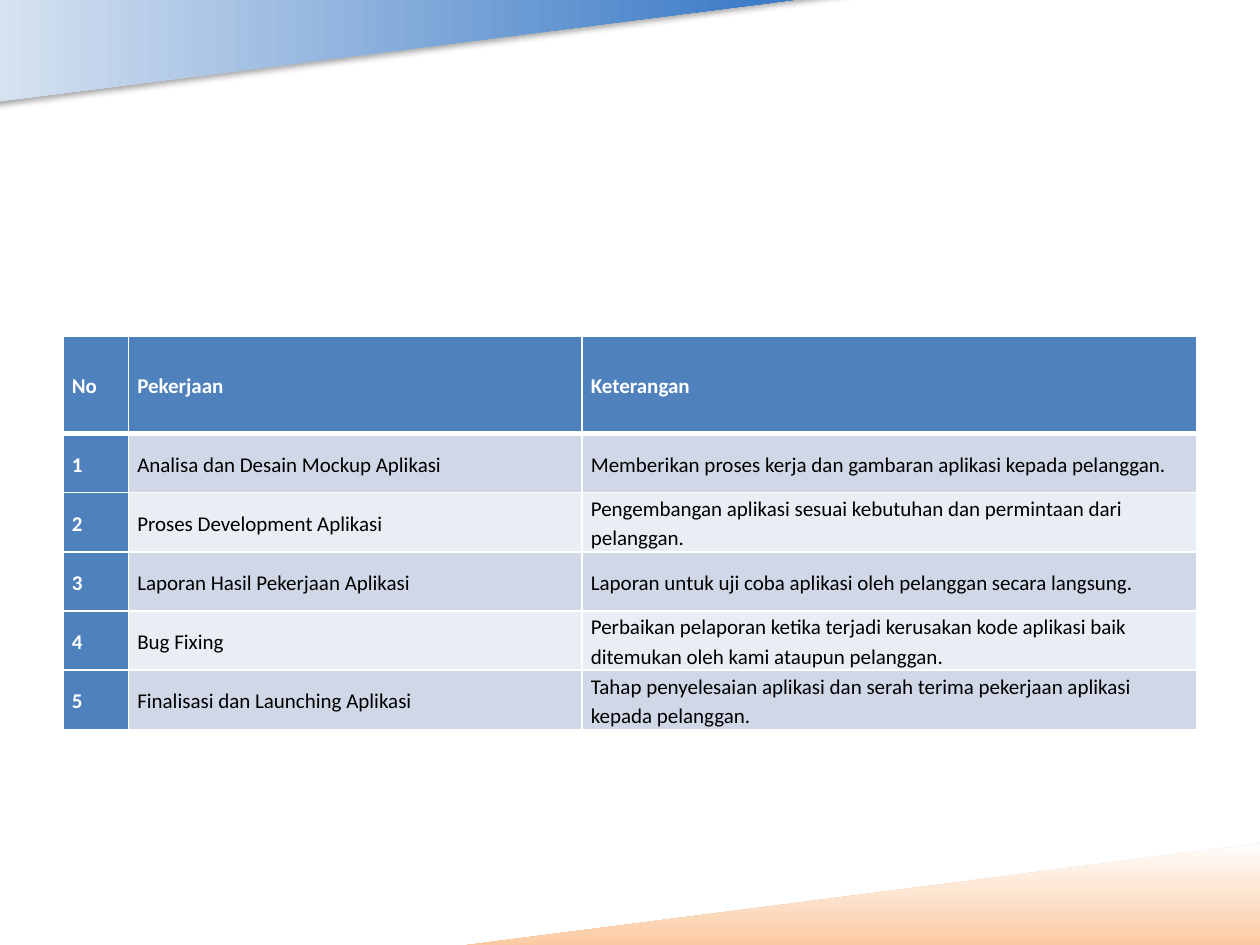
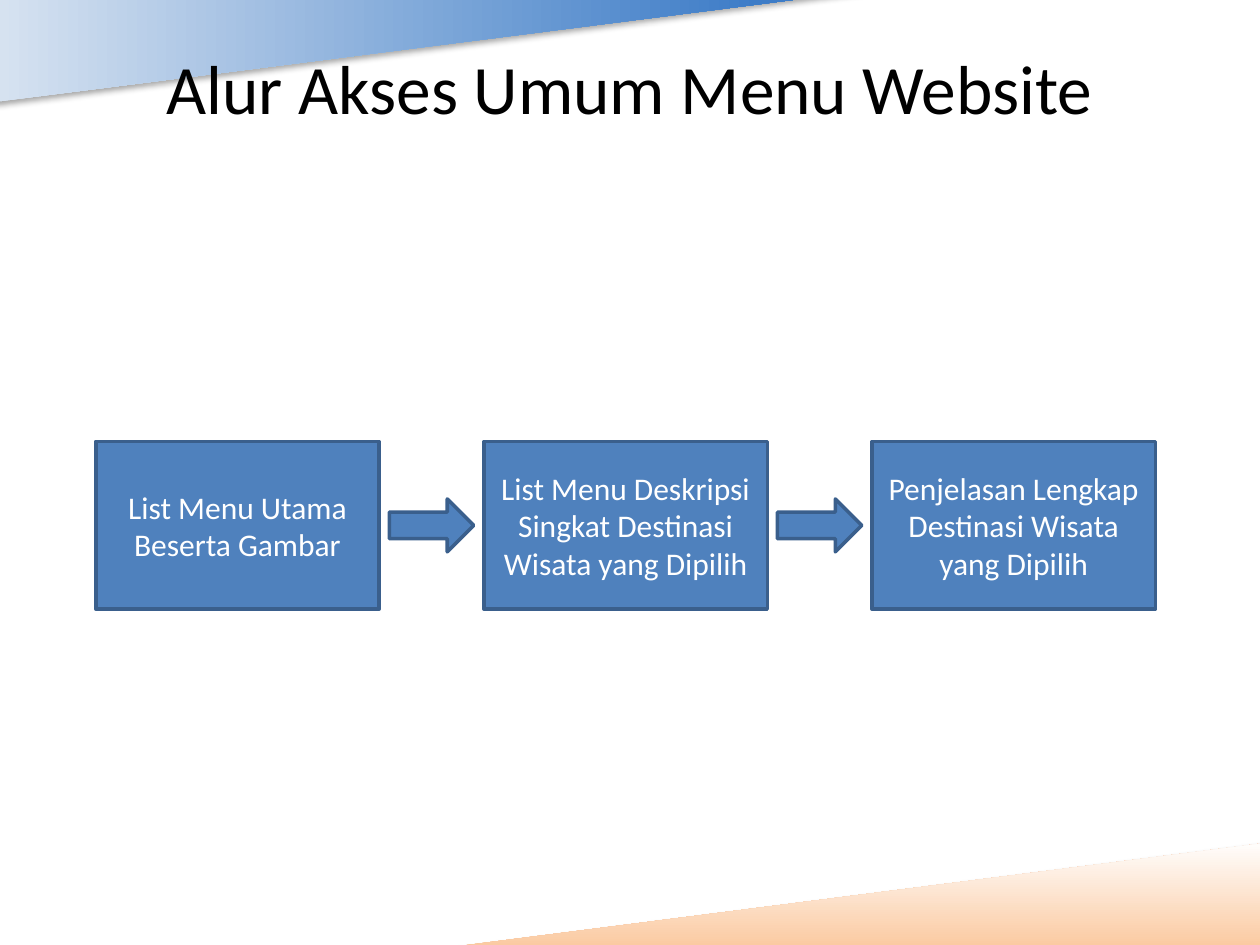
import pptx
import pptx.dml.color
import pptx.enum.shapes
import pptx.enum.text
import pptx.oxml.ns
import pptx.util
from lxml import etree

WIDTH, HEIGHT = 10, 7.5
FONT = "Calibri"
BLUE, DARK_BLUE, WHITE, BLACK = "4F81BD", "3A5F8C", "FFFFFF", "000000"
STRIPES = ("D0D8E8", "E9EDF4")

# Corner bands: size before rotation, turn, whether the gradient turns too, stops
BAND_THICKNESS, BAND_LENGTH = 1, 7.83
BANDS = [
    {"centre": (3.67, 0.335), "turn": 90, "gradient_turns": False,
     "stops": [(0, "DCE6F2"), (80, "3D7CC7"), (100, "3A7CCB")]},
    {"centre": (6.33, 7.165), "turn": 270, "gradient_turns": True,
     "stops": [(0, "FAC090"), (100, WHITE)]},
]

WORK_HEADER = ("No", "Pekerjaan", "Keterangan")
WORK = [
    ("Analisa dan Desain Mockup Aplikasi",
     "Memberikan proses kerja dan gambaran aplikasi kepada pelanggan."),
    ("Proses Development Aplikasi",
     "Pengembangan aplikasi sesuai kebutuhan dan permintaan dari pelanggan."),
    ("Laporan Hasil Pekerjaan Aplikasi",
     "Laporan untuk uji coba aplikasi oleh pelanggan secara langsung."),
    ("Bug Fixing",
     "Perbaikan pelaporan ketika terjadi kerusakan kode aplikasi baik "
     "ditemukan oleh kami ataupun pelanggan."),
    ("Finalisasi dan Launching Aplikasi",
     "Tahap penyelesaian aplikasi dan serah terima pekerjaan aplikasi "
     "kepada pelanggan."),
]
MARGIN = 0.5
TABLE_TOP, HEADER_HEIGHT, ROW_HEIGHT = 2.67, 0.77, 0.47
COLUMNS = (0.52, 3.6, 4.88)

FLOW_TITLE = "Alur Akses Umum Menu Website"
FLOW = [
    "List Menu Utama Beserta Gambar",
    "List Menu Deskripsi Singkat Destinasi Wisata yang Dipilih",
    "Penjelasan Lengkap Destinasi Wisata yang Dipilih",
]
FLOW_LEFT, FLOW_MIDDLE = 0.76, 4.17
STEP_WIDTH, STEP_HEIGHT, STEP_GAP = 2.25, 1.33, 0.83
ARROW_WIDTH, ARROW_HEIGHT = 0.67, 0.42

CENTRE = pptx.enum.text.PP_ALIGN.CENTER
MIDDLE = pptx.enum.text.MSO_ANCHOR.MIDDLE
SHAPES = pptx.enum.shapes.MSO_SHAPE


def rgb(code):
    return pptx.dml.color.RGBColor.from_string(code)


def inches(*lengths):
    return [pptx.util.Inches(length) for length in lengths]


def add_node(parent, tag, **attributes):
    node = etree.SubElement(parent, pptx.oxml.ns.qn(tag))
    for name, value in attributes.items():
        node.set(name, str(value))
    return node


def set_all(target, values):
    for name, value in values.items():
        setattr(target, name, value)


def write(frame, text, size, colour, bold=False, **para_format):
    frame.word_wrap = True
    frame.vertical_anchor = MIDDLE
    para = frame.paragraphs[0]
    set_all(para, para_format)
    span = para.add_run()
    span.text = text
    set_all(span.font, {"name": FONT, "size": pptx.util.Pt(size), "bold": bold})
    span.font.color.rgb = rgb(colour)


def add_band(page, centre, turn, gradient_turns, stops):
    """Add a rotated triangle with a gradient and a soft shadow."""
    left, top = centre[0] - BAND_THICKNESS / 2, centre[1] - BAND_LENGTH / 2
    band = page.shapes.add_shape(
        SHAPES.RIGHT_TRIANGLE, *inches(left, top, BAND_THICKNESS, BAND_LENGTH))
    band.rotation = turn
    band.line.fill.background()
    band.fill.gradient()
    band.fill.gradient_angle = 0
    properties = band.element.spPr
    gradient = properties.find(pptx.oxml.ns.qn("a:gradFill"))
    gradient.set("rotWithShape", str(int(gradient_turns)))
    stop_list = gradient.find(pptx.oxml.ns.qn("a:gsLst"))
    for stop in list(stop_list):
        stop_list.remove(stop)
    for position, code in stops:
        stop = add_node(stop_list, "a:gs", pos=position * 1000)
        add_node(stop, "a:srgbClr", val=code)

    band.shadow.inherit = False
    effects = properties.find(pptx.oxml.ns.qn("a:effectLst"))
    shadow = add_node(effects, "a:outerShdw", blurRad=pptx.util.Pt(3.1),
                      dist=pptx.util.Pt(1.8), dir=90 * 60000, rotWithShape=0)
    add_node(add_node(shadow, "a:srgbClr", val=BLACK), "a:alpha", val=35000)


def add_page(deck):
    page = deck.slides.add_slide(deck.slide_layouts[6])
    for band in BANDS:
        add_band(page, **band)
    return page


def add_borders(cell, top=1, bottom=1):
    properties = cell._tc.get_or_add_tcPr()
    for side, width in (("L", 1), ("R", 1), ("T", top), ("B", bottom)):
        line = add_node(properties, f"a:ln{side}", w=pptx.util.Pt(width))
        add_node(add_node(line, "a:solidFill"), "a:srgbClr", val=WHITE)


def add_work_table(page):
    rows = [WORK_HEADER] + [(str(n), *work) for n, work in enumerate(WORK, 1)]
    heights = [HEADER_HEIGHT] + [ROW_HEIGHT] * len(WORK)
    table = page.shapes.add_table(
        len(rows), len(COLUMNS),
        *inches(MARGIN, TABLE_TOP, sum(COLUMNS), sum(heights))).table
    for column, width in zip(table.columns, COLUMNS):
        column.width = pptx.util.Inches(width)
    side, edge = inches(0.07, 0)
    for r, (texts, height) in enumerate(zip(rows, heights)):
        table.rows[r].height = pptx.util.Inches(height)
        for c, text in enumerate(texts):
            cell = table.cell(r, c)
            heading = r == 0 or c == 0
            add_borders(cell, top=3 if r == 1 else 1, bottom=3 if r == 0 else 1)
            cell.fill.solid()
            cell.fill.fore_color.rgb = rgb(BLUE if heading else STRIPES[(r - 1) % 2])
            set_all(cell, {"margin_left": side, "margin_right": side,
                           "margin_top": edge, "margin_bottom": edge,
                           "vertical_anchor": MIDDLE})
            write(cell.text_frame, text, 12, WHITE if heading else BLACK,
                  bold=heading, line_spacing=1.15)


def add_flow_shape(page, kind, left, width, height):
    """Add a blue shape centred on the middle line of the flow."""
    shape = page.shapes.add_shape(
        kind, *inches(left, FLOW_MIDDLE - height / 2, width, height))
    shape.shadow.inherit = False
    shape.fill.solid()
    shape.fill.fore_color.rgb = rgb(BLUE)
    shape.line.color.rgb = rgb(DARK_BLUE)
    shape.line.width = pptx.util.Pt(2)
    return shape


def add_flow(page):
    title = page.shapes.add_textbox(*inches(MARGIN, 0.3, WIDTH - 2 * MARGIN, 0.78))
    write(title.text_frame, FLOW_TITLE, 39.6, BLACK, alignment=CENTRE)
    for i, text in enumerate(FLOW):
        left = FLOW_LEFT + i * (STEP_WIDTH + STEP_GAP)
        box = add_flow_shape(page, SHAPES.RECTANGLE, left, STEP_WIDTH, STEP_HEIGHT)
        write(box.text_frame, text, 18, WHITE, alignment=CENTRE)
        if i > 0:
            arrow_left = left - (STEP_GAP + ARROW_WIDTH) / 2
            add_flow_shape(page, SHAPES.RIGHT_ARROW, arrow_left,
                           ARROW_WIDTH, ARROW_HEIGHT)


def main():
    deck = pptx.Presentation()
    deck.slide_width, deck.slide_height = inches(WIDTH, HEIGHT)
    add_work_table(add_page(deck))
    add_flow(add_page(deck))
    deck.save("out.pptx")


if __name__ == "__main__":
    main()
